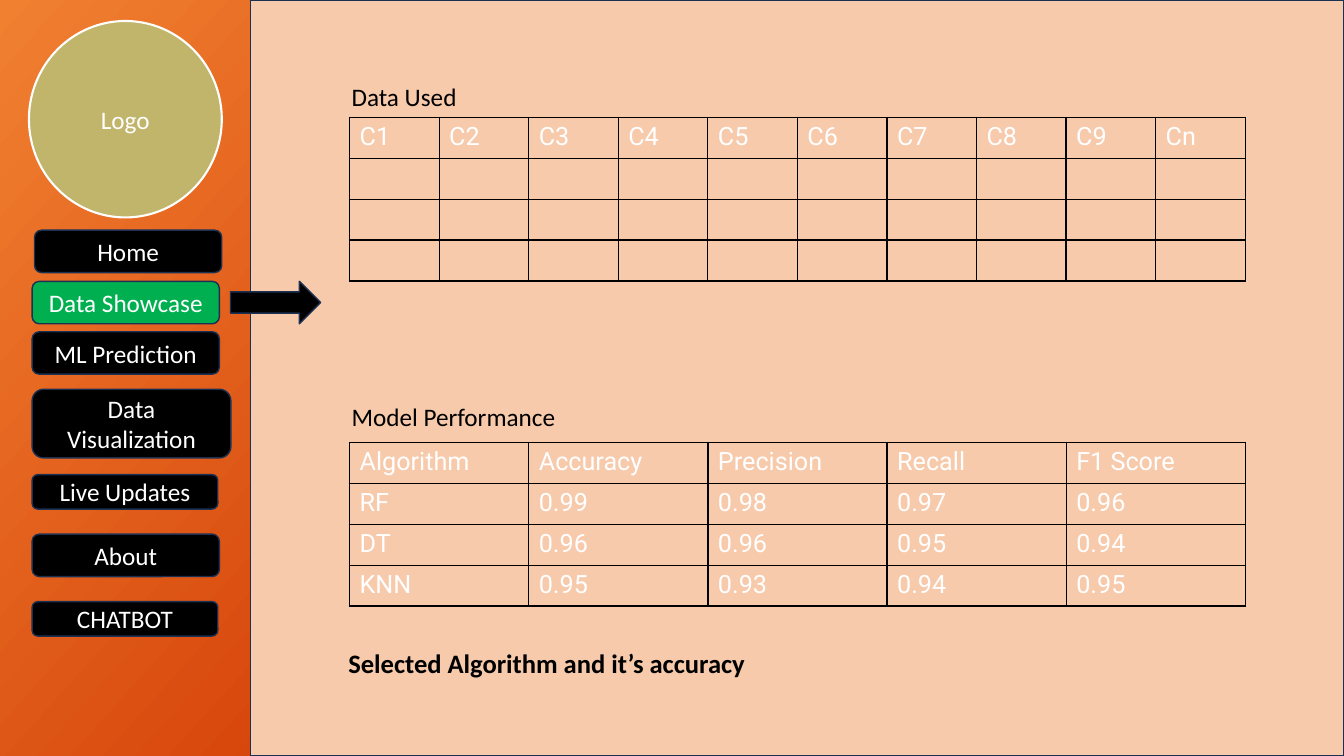
"""Build the data showcase page of a machine learning dashboard."""
from copy import deepcopy

from lxml.etree import SubElement
from pptx import Presentation
from pptx.dml.color import RGBColor
from pptx.enum.shapes import MSO_SHAPE as SHAPE
from pptx.enum.text import MSO_ANCHOR as ANCHOR, PP_ALIGN as ALIGN
from pptx.oxml.ns import qn
from pptx.util import Cm, Pt

ORANGE = RGBColor(0xF1, 0x80, 0x31)
RUST = RGBColor(0xD5, 0x42, 0x09)
MAROON = RGBColor(0x6A, 0x0D, 0x00)
PEACH = RGBColor(0xF7, 0xCA, 0xAC)
KHAKI = RGBColor(0xC1, 0xB5, 0x6B)
GREEN = RGBColor(0x00, 0xB0, 0x50)
NAVY = RGBColor(0x1C, 0x30, 0x52)
BLACK = RGBColor(0, 0, 0)
WHITE = RGBColor(255, 255, 255)


def write(tf, text, color, align=ALIGN.LEFT, **changes):
    p = tf.paragraphs[0]
    p.alignment = align
    r = p.add_run()
    r.text = text
    r.font.color.rgb = color
    font = {"name": "Calibri", "size": Pt(18), "bold": False} | changes
    for key, value in font.items():
        setattr(r.font, key, value)


def add_block(kind, box, fill, text="", line=NAVY, weight=1):
    sp = s.shapes.add_shape(kind, *map(Cm, box))
    sp.shadow.inherit = False
    sp.fill.solid()
    sp.fill.fore_color.rgb = fill
    sp.line.color.rgb = line
    sp.line.width = Pt(weight)
    if text:
        sp.text_frame.word_wrap = True
        sp.text_frame.vertical_anchor = ANCHOR.MIDDLE
        write(sp.text_frame, text, WHITE, ALIGN.CENTER)


prs = Presentation()
prs.slide_width, prs.slide_height = Cm(33.87), Cm(19.05)
s = prs.slides.add_slide(prs.slide_layouts[6])

bg = s.background.fill
bg.gradient()
bg.gradient_angle = 318
stops = s.element.find(".//" + qn("a:gsLst"))
stops.insert(1, deepcopy(stops[0]))
for stop, position, color in zip(bg.gradient_stops, (0, 0.5, 1), (ORANGE, RUST, MAROON)):
    stop.position = position
    stop.color.rgb = color

add_block(SHAPE.RECTANGLE, (6.32, 0, 27.55, 19.05), PEACH)
add_block(SHAPE.OVAL, (0.73, 0.53, 4.86, 4.95), KHAKI, "Logo", WHITE, 1.5)

menu = [
    ("Home", 0.87, 5.8, 4.72, 1.07),
    ("Data Showcase", 0.81, 7.09, 4.72, 1.07),
    ("ML Prediction", 0.81, 8.36, 4.72, 1.07),
    ("Data Visualization", 0.81, 9.81, 5.01, 1.73),
    ("Live Updates", 0.81, 11.96, 4.68, 0.87),
    ("About", 0.81, 13.46, 4.72, 1.07),
    ("CHATBOT", 0.81, 15.16, 4.68, 0.87),
]
for label, *box in menu:
    fill = GREEN if label == "Data Showcase" else BLACK
    add_block(SHAPE.ROUNDED_RECTANGLE, box, fill, label)
add_block(SHAPE.RIGHT_ARROW, (5.81, 7.09, 2.27, 1.07), BLACK)

data_used = [[f"C{i}" for i in range(1, 10)] + ["Cn"]] + [[""] * 10] * 3
performance = [
    ["Algorithm", "Accuracy", "Precision", "Recall", "F1 Score"],
    ["RF", "0.99", "0.98", "0.97", "0.96"],
    ["DT", "0.96", "0.96", "0.95", "0.94"],
    ["KNN", "0.95", "0.93", "0.94", "0.95"],
]
for top, rows in ((2.96, data_used), (11.15, performance)):
    size = len(rows), len(rows[0])
    table = s.shapes.add_table(*size, Cm(8.81), Cm(top), Cm(22.58), Cm(4.12)).table
    table.first_row = table.horz_banding = False
    for i, row in enumerate(rows):
        for j, text in enumerate(row):
            cell = table.cell(i, j)
            if text:
                write(cell.text_frame, text, WHITE, name="Roboto")
            tc_pr = cell._tc.get_or_add_tcPr()
            for side in ("a:lnL", "a:lnR", "a:lnT", "a:lnB"):
                ln = SubElement(tc_pr, qn(side), w=str(Pt(1)))
                solid = SubElement(ln, qn("a:solidFill"))
                SubElement(solid, qn("a:srgbClr"), val=str(BLACK))
            cell.fill.background()

captions = [
    ("Data Used", (8.61, 1.93, 3.3, 1.02), 0.13, {}),
    ("Model Performance", (8.61, 9.98, 6.73, 1.02), 0.13, {}),
    ("Selected Algorithm and it’s accuracy", (8.53, 16.05, 10.8, 1.07), 0.25,
     {"size": Pt(19), "bold": True}),
]
for text, box, inset, font in captions:
    tf = s.shapes.add_textbox(*map(Cm, box)).text_frame
    tf.word_wrap = True
    tf.margin_top = tf.margin_bottom = Cm(inset)
    write(tf, text, BLACK, **font)

prs.save("out.pptx")
